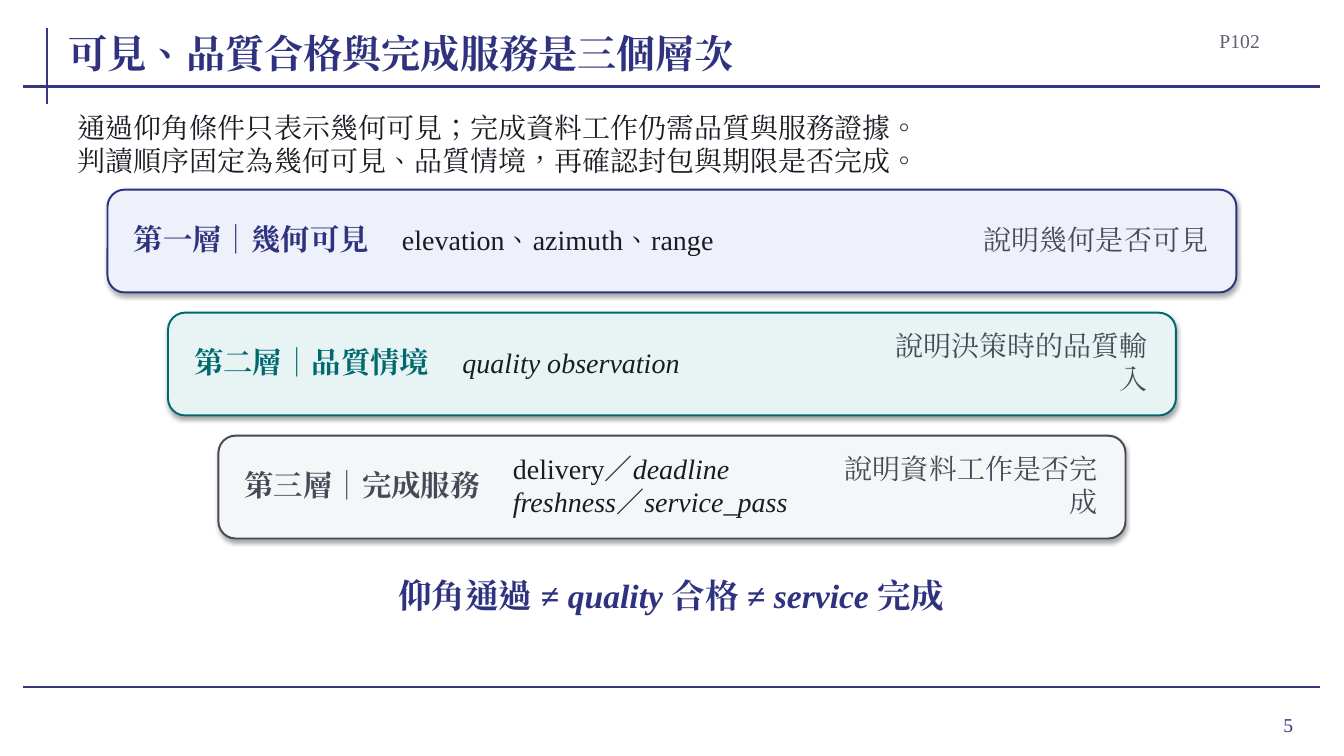
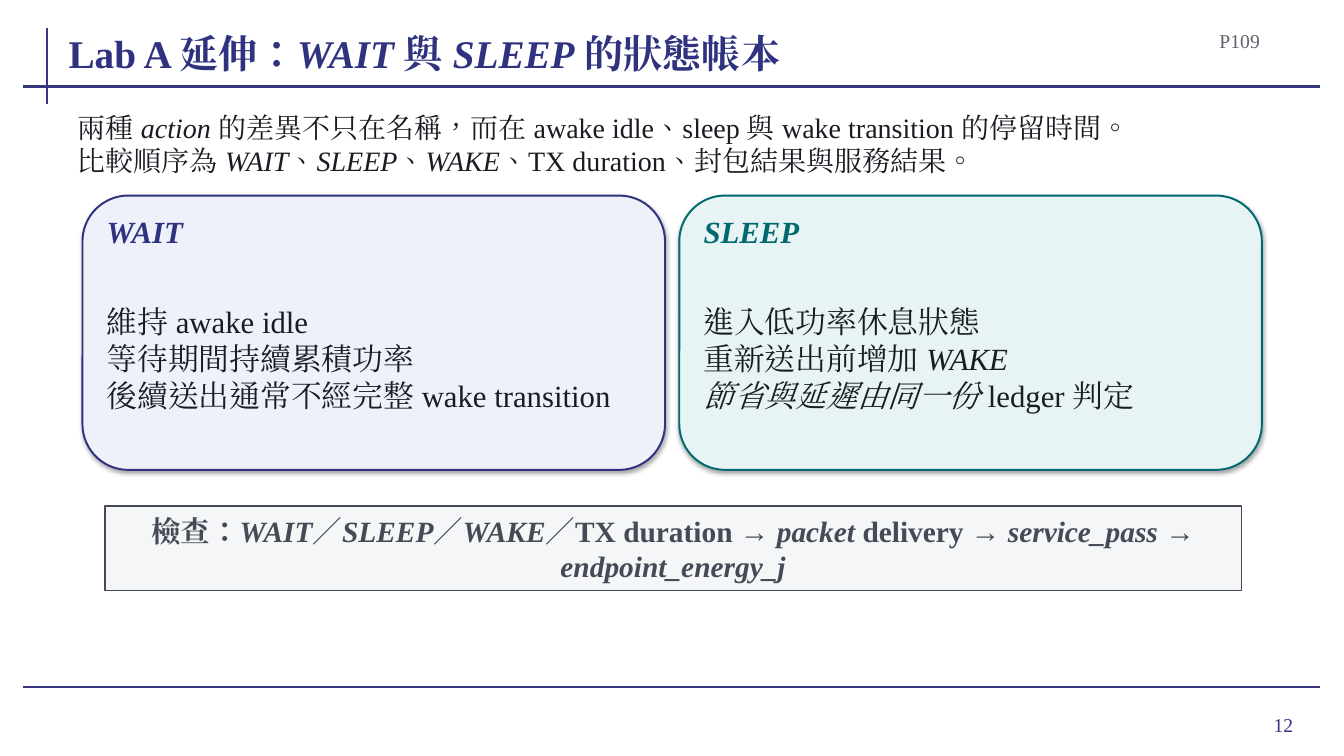
from lxml import etree
from pptx import Presentation
from pptx import util as u
from pptx.dml import color
from pptx.enum import shapes, text
from pptx.oxml import ns


class Theme:
    font = "Times New Roman"
    rule, navy, teal, slate = "35377F", "2F327F", "006970", "444B56"
    ink, muted = "191C22", "5C626C"
    navy_tint, teal_tint, slate_tint = "EEF1F9", "E8F4F4", "F5F6F8"
    title, conclusion, card, strong, body, small = 28, 24, 22, 21, 20, 14
    inset = 0.1


LEFT, CENTER, RIGHT = text.PP_ALIGN.LEFT, text.PP_ALIGN.CENTER, text.PP_ALIGN.RIGHT
FIT, NO_FIT = text.MSO_AUTO_SIZE.SHAPE_TO_FIT_TEXT, text.MSO_AUTO_SIZE.NONE
MIDDLE, BOTTOM = text.MSO_ANCHOR.MIDDLE, text.MSO_ANCHOR.BOTTOM


def write(shape, words, size, ink, align=LEFT, bold=False, inset=Theme.inset,
          fit=FIT, anchor=MIDDLE, wrap=True):
    """Fill a shape with one paragraph; *stars* enclose italics."""
    frame = shape.text_frame
    margins = {f"margin_{side}": u.Cm(inset) for side in ("left", "top", "right", "bottom")}
    for name, value in {"word_wrap": wrap, "auto_size": fit,
                        "vertical_anchor": anchor, **margins}.items():
        setattr(frame, name, value)
    paragraph = frame.paragraphs[0]
    paragraph.alignment = align
    for i, part in enumerate(words.split("*")):
        for j, line in enumerate(part.split("\n")):
            if j:
                paragraph.add_line_break()
            if not line:
                continue
            run = paragraph.add_run()
            run.text = line
            for name, value in {"name": Theme.font, "size": u.Pt(size),
                                "bold": bold, "italic": i % 2 == 1}.items():
                setattr(run.font, name, value)
            run.font.color.rgb = color.RGBColor.from_string(ink)
            properties = run.font._element
            properties.set("lang", "zh-TW")
            etree.SubElement(properties, ns.qn("a:ea"), typeface=Theme.font)


def panel(slide, kind, place, fill, edge, width):
    """Add a filled and outlined shape."""
    shape = slide.shapes.add_shape(kind, *map(u.Cm, place))
    shape.fill.solid()
    shape.fill.fore_color.rgb = color.RGBColor.from_string(fill)
    shape.line.color.rgb = color.RGBColor.from_string(edge)
    shape.line.width = u.Pt(width)
    return shape


deck = Presentation()
deck_width = 33.87
deck.slide_width, deck.slide_height = u.Cm(deck_width), u.Cm(19.05)
title_only = deck.slide_layouts[5]

# Title, codes and introduction of each slide
openings = [
    ("可見、品質合格與完成服務是三個層次", "P102", "5",
     "通過仰角條件只表示幾何可見；完成資料工作仍需品質與服務證據。\n"
     "判讀順序固定為幾何可見、品質情境，再確認封包與期限是否完成。"),
    ("Lab A 延伸：*WAIT* 與 *SLEEP* 的狀態帳本", "P109", "12",
     "兩種 *action* 的差異不只在名稱，而在 awake idle、sleep 與 wake transition 的停留時間。\n"
     "比較順序為 *WAIT*、*SLEEP*、*WAKE*、TX duration、封包結果與服務結果。"),
]
for heading, code, number, intro in openings:
    slide = deck.slides.add_slide(title_only)
    title = slide.shapes.title
    for name, value in {"left": 1.73, "top": 0.46, "width": 27.69, "height": 1.47}.items():
        setattr(title, name, u.Cm(value))
    write(title, heading, Theme.title, Theme.navy, bold=True, inset=0,
          fit=NO_FIT, anchor=BOTTOM, wrap=False)
    for place, words, size, ink, options in [
        ((29.77, 0.69, 2.08, 0.66), code, Theme.small, Theme.muted, {"align": RIGHT}),
        ((30.38, 17.6, 2.46, 1.32), number, Theme.small, Theme.rule,
         {"align": RIGHT, "inset": 0.25, "fit": NO_FIT}),
        ((1.93, 2.84, 29.92, 1.57), intro, Theme.body, Theme.ink, {"inset": 0.03}),
    ]:
        write(slide.shapes.add_textbox(*map(u.Cm, place)), words, size, ink, **options)

tiers_slide, states_slide = deck.slides

# Rules shared by both slides, moved into their layout
for ends in [(1.19, 0.71, 1.19, 2.62), (0.58, 2.18, 33.27, 2.18), (0.58, 17.32, 33.27, 17.32)]:
    rule = tiers_slide.shapes.add_connector(shapes.MSO_CONNECTOR.STRAIGHT, *map(u.Cm, ends))
    rule.line.color.rgb = color.RGBColor.from_string(Theme.rule)
    rule.line.width = u.Pt(1.5)
    etree.SubElement(rule._element.spPr, ns.qn("a:effectLst"))
    title_only.shapes.element.append(rule._element)

# Three narrowing tiers, which keep the theme's soft shadow
tiers = [
    (28.45, Theme.navy_tint, Theme.navy, "第一層｜幾何可見",
     "elevation、azimuth、range", "說明幾何是否可見"),
    (25.4, Theme.teal_tint, Theme.teal, "第二層｜品質情境",
     "*quality observation*", "說明決策時的品質輸入"),
    (22.86, Theme.slate_tint, Theme.slate, "第三層｜完成服務",
     "delivery／*deadline\nfreshness*／*service_pass*", "說明資料工作是否完成"),
]
for row, (width, tint, accent, label, evidence, meaning) in enumerate(tiers):
    left, top = (deck_width - width) / 2, 4.78 + row * 3.1
    panel(tiers_slide, shapes.MSO_SHAPE.ROUNDED_RECTANGLE, (left, top, width, 2.59),
          tint, accent, 1.4)
    for x, span, words, size, ink, options in [
        (left + 0.56, 6.65, label, Theme.strong, accent, {"bold": True}),
        (left + 7.32, 8.69, evidence, Theme.body, Theme.ink, {}),
        (left + width - 7.32, 6.71, meaning, Theme.body, Theme.slate, {"align": RIGHT}),
    ]:
        cell = tiers_slide.shapes.add_textbox(*map(u.Cm, (x, top + 0.25, span, 1.98)))
        write(cell, words, size, ink, **options)

conclusion = tiers_slide.shapes.add_textbox(*map(u.Cm, (3.61, 14.48, 26.62, 1.02)))
write(conclusion, "仰角通過 ≠ *quality* 合格 ≠ *service* 完成",
      Theme.conclusion, Theme.navy, CENTER, bold=True)

# Two state cards
states = [
    (Theme.navy_tint, Theme.navy, "*WAIT*",
     "維持 awake idle\n等待期間持續累積功率\n後續送出通常不經完整 wake transition"),
    (Theme.teal_tint, Theme.teal, "*SLEEP*",
     "進入低功率休息狀態\n重新送出前增加 *WAKE\n節省與延遲由同一份* ledger 判定"),
]
card_top = 4.93
for column, (tint, accent, state, effects) in enumerate(states):
    left = 2.08 + column * 15.04
    panel(states_slide, shapes.MSO_SHAPE.ROUNDED_RECTANGLE, (left, card_top, 14.68, 6.91),
          tint, accent, 1.4)
    for drop, height, words, ink, bold in [
        (0.4, 0.97, state, accent, True),
        (1.63, 4.93, effects, Theme.ink, False),
    ]:
        place = (left + 0.51, card_top + drop, 13.67, height)
        write(states_slide.shapes.add_textbox(*map(u.Cm, place)), words, Theme.card, ink, bold=bold)

# Checking order
check = panel(states_slide, shapes.MSO_SHAPE.RECTANGLE, (2.64, 12.75, 28.65, 2.13),
              Theme.slate_tint, Theme.slate, 1.2)
check.shadow.inherit = False
write(check, "檢查：*WAIT*／*SLEEP*／*WAKE*／TX duration → *packet *delivery → "
      "*service_pass* → *endpoint_energy_j*", Theme.strong, Theme.slate, CENTER, bold=True)

deck.save("out.pptx")
